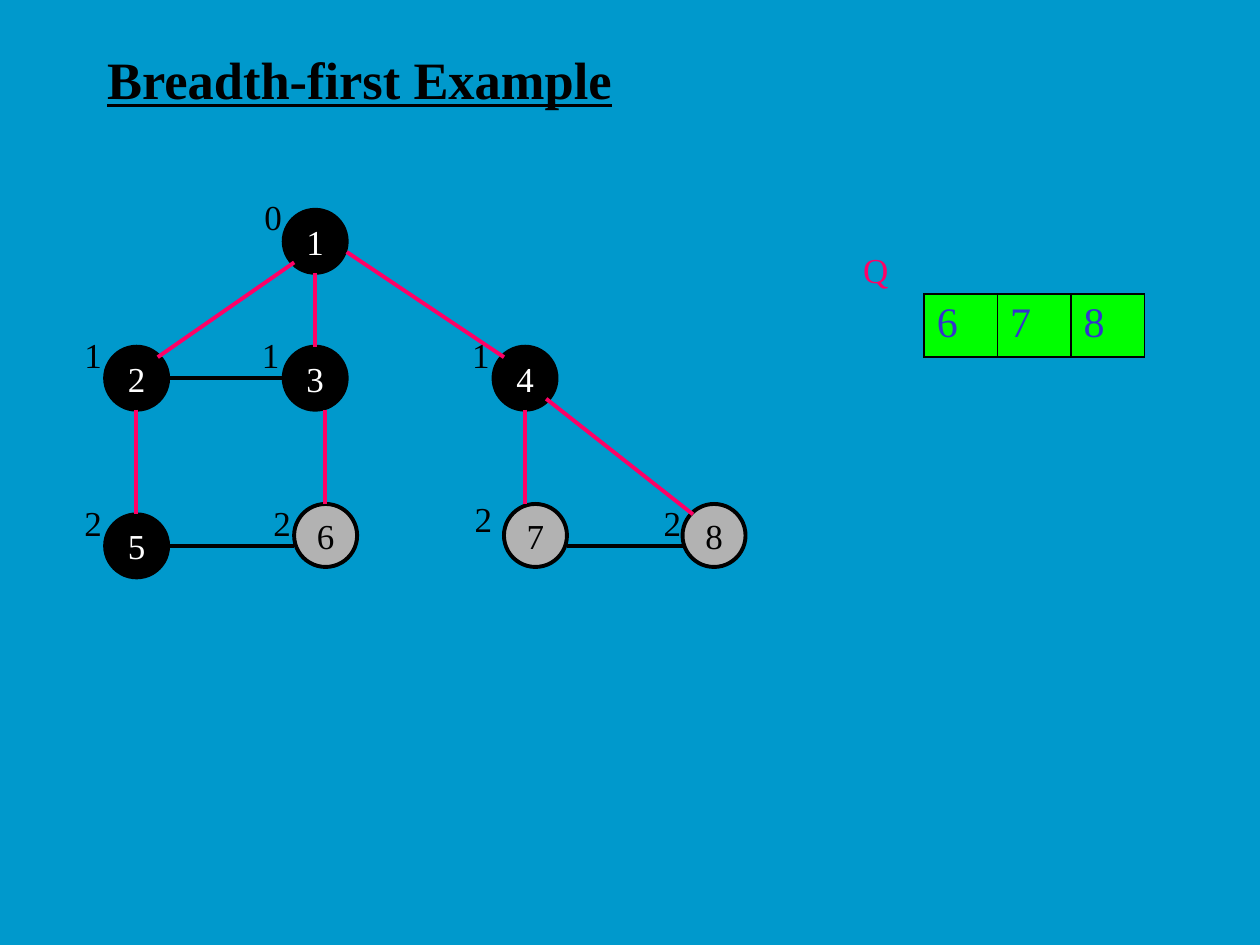
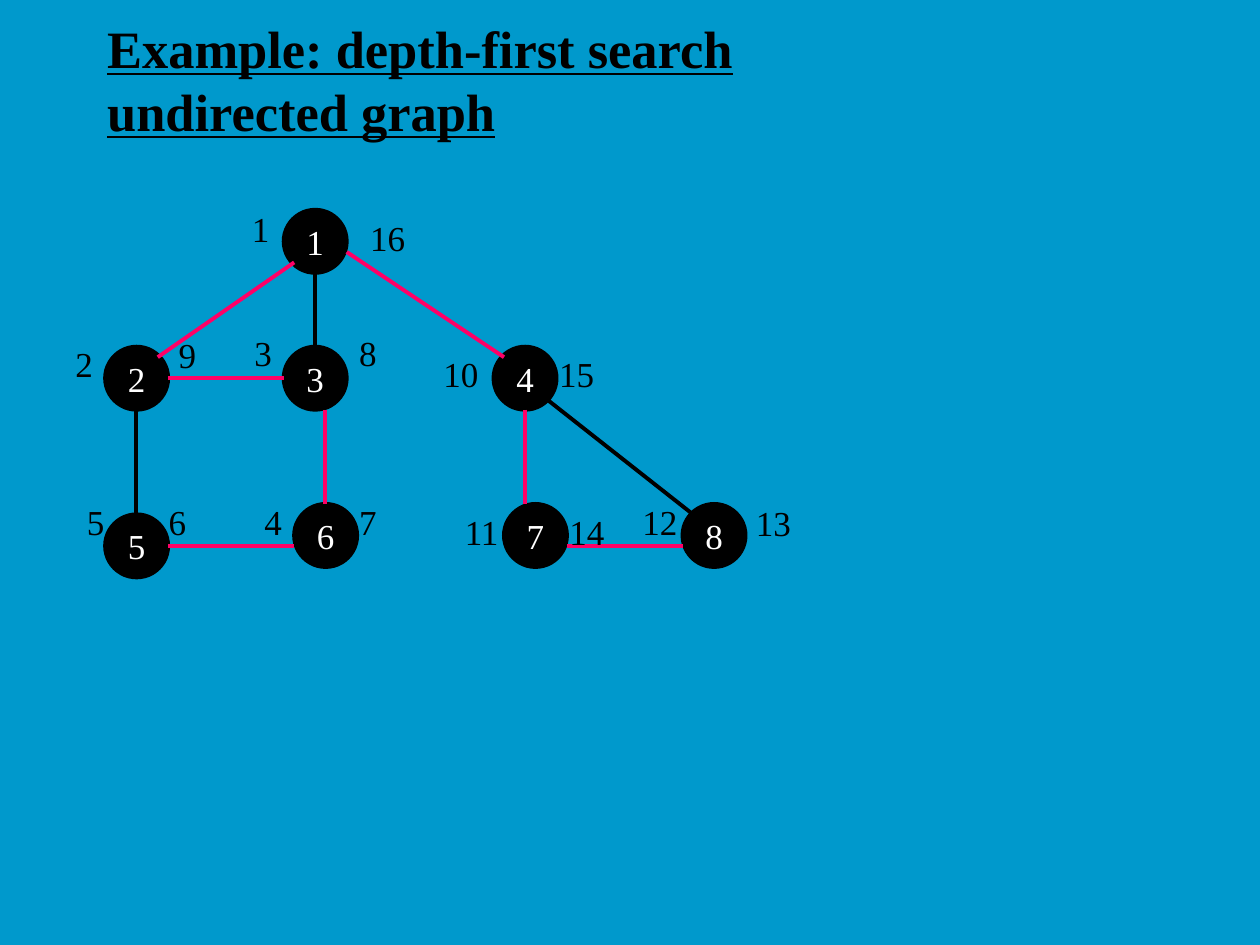
import pptx
import pptx.util
import pptx.dml.color
import pptx.enum.shapes
import pptx.enum.text
import pptx.oxml
import pptx.oxml.ns
from lxml import etree

Cm, Pt = pptx.util.Cm, pptx.util.Pt
FONT = "Times New Roman"
COLORS = {
    "back": "0099CC", "ink": "000000", "white": "FFFFFF", "gray": "B2B2B2",
    "pink": "FF0066", "green": "00FF00", "blue": "3333CC",
}
SIZE = 1.27
RULE = 2.25

NODES = {
    "1": (5.72, 4.23), "3": (5.72, 6.99), "6": (5.93, 10.16),
    "2": (2.12, 6.99), "5": (2.12, 10.37), "4": (9.95, 6.99),
    "8": (13.76, 10.16), "7": (10.16, 10.16),
}
EDGES = {
    "1-2": (5.93, 5.29, 3.18, 7.2),
    "2-5": (2.75, 8.26, 2.75, 10.37),
    "2-3": (3.39, 7.62, 5.72, 7.62),
    "3-6": (6.56, 8.26, 6.56, 10.16),
    "5-6": (3.39, 11.01, 5.93, 11.01),
    "1-3": (6.35, 5.5, 6.35, 6.99),
    "1-4": (6.99, 5.08, 10.16, 7.2),
    "4-7": (10.58, 8.26, 10.58, 10.16),
    "4-8": (11.01, 8.04, 13.97, 10.37),
    "7-8": (11.43, 11.01, 13.76, 11.01),
}
SLIDES = [
    {
        "title": "Breadth-first Example",
        "open": ["6", "7", "8"],
        "plain": ["2-3", "5-6", "7-8"],
        "queue": ["6", "7", "8"],
        "labels": [
            ("0", 5.08, 3.81), ("1", 1.45, 6.6), ("1", 5.03, 6.6),
            ("1", 9.27, 6.6), ("2", 1.45, 9.98), ("2", 5.26, 9.98),
            ("2", 9.32, 9.91), ("2", 13.13, 9.98),
        ],
    },
    {
        "title": "Example: depth-first search undirected graph",
        "open": [],
        "plain": ["2-5", "1-3", "4-8"],
        "queue": [],
        "labels": [
            ("1", 4.83, 4.06), ("2", 1.27, 6.78), ("3", 4.88, 6.55),
            ("4", 5.08, 9.96), ("5", 1.5, 9.96), ("6", 3.15, 9.96),
            ("7", 6.99, 9.96), ("8", 6.99, 6.55), ("9", 3.35, 6.6),
            ("10", 8.69, 6.99), ("11", 9.12, 10.16), ("12", 12.7, 9.96),
            ("13", 14.99, 9.98), ("14", 11.23, 10.16), ("15", 11.02, 6.99),
            ("16", 7.21, 4.24),
        ],
    },
]


def paint(fill, name):
    fill.solid()
    fill.fore_color.rgb = pptx.dml.color.RGBColor.from_string(COLORS[name])


def write(frame, text, size, color):
    frame.text = text
    font = frame.paragraphs[0].font
    font.name, font.size = FONT, Pt(size)
    paint(font.fill, color)
    return font


def add_title(slide, text):
    box = slide.shapes.add_textbox(Cm(1.91), Cm(0.85), Cm(17.15), Cm(1.48))
    frame = box.text_frame
    frame.word_wrap = True
    frame.vertical_anchor = pptx.enum.text.MSO_ANCHOR.MIDDLE
    font = write(frame, text, 30, "ink")
    font.bold = font.underline = True


def add_node(slide, text, left, top, is_open):
    node = slide.shapes.add_shape(
        pptx.enum.shapes.MSO_SHAPE.OVAL, Cm(left), Cm(top), Cm(SIZE), Cm(SIZE))
    node.shadow.inherit = False
    paint(node.fill, "gray" if is_open else "ink")
    paint(node.line.fill, "ink")
    node.line.width = Pt(RULE)
    frame = node.text_frame
    frame.word_wrap = False
    frame.vertical_anchor = pptx.enum.text.MSO_ANCHOR.MIDDLE
    write(frame, text, 20, "ink" if is_open else "white")
    frame.paragraphs[0].alignment = pptx.enum.text.PP_ALIGN.CENTER


def add_edge(slide, ends, color):
    edge = slide.shapes.add_connector(
        pptx.enum.shapes.MSO_CONNECTOR.STRAIGHT, *map(Cm, ends))
    paint(edge.line.fill, color)
    edge.line.width = Pt(RULE)
    etree.SubElement(edge._element.spPr, pptx.oxml.ns.qn("a:effectLst"))


def add_label(slide, text, left, top, width, color="ink"):
    box = slide.shapes.add_textbox(Cm(left), Cm(top), Cm(width), Cm(1.12))
    frame = box.text_frame
    frame.word_wrap = False
    frame.auto_size = pptx.enum.text.MSO_AUTO_SIZE.SHAPE_TO_FIT_TEXT
    write(frame, text, 20, color)


def add_border(cell):
    props = cell._tc.get_or_add_tcPr()
    for spot, side in enumerate(("lnL", "lnR", "lnT", "lnB")):
        props.insert(spot, pptx.oxml.parse_xml(
            f'<a:{side} {pptx.oxml.ns.nsdecls("a")} w="{Pt(1.08)}"><a:solidFill>'
            f'<a:srgbClr val="{COLORS["ink"]}"/></a:solidFill></a:{side}>'))


def add_queue(slide, items):
    step = 1.48
    table = slide.shapes.add_table(
        1, len(items), Cm(18.63), Cm(5.93), Cm(step * len(items)), Cm(SIZE)).table
    for col, item in enumerate(items):
        table.columns[col].width = Cm(step)
        cell = table.cell(0, col)
        paint(cell.fill, "green")
        write(cell.text_frame, item, 24, "blue")
        add_border(cell)
    add_label(slide, "Q", 17.15, 4.88, 1.02, "pink")


def main():
    deck = pptx.Presentation()
    deck.slide_width, deck.slide_height = Cm(25.4), Cm(19.05)
    paint(deck.slide_master.background.fill, "back")
    for data in SLIDES:
        slide = deck.slides.add_slide(deck.slide_layouts[6])
        add_title(slide, data["title"])
        for name, (left, top) in NODES.items():
            add_node(slide, name, left, top, name in data["open"])
        for name, ends in EDGES.items():
            add_edge(slide, ends, "ink" if name in data["plain"] else "pink")
        if data["queue"]:
            add_queue(slide, data["queue"])
        for text, left, top in data["labels"]:
            add_label(slide, text, left, top, 0.5 + 0.36 * len(text))
    deck.save("out.pptx")


if __name__ == "__main__":
    main()
